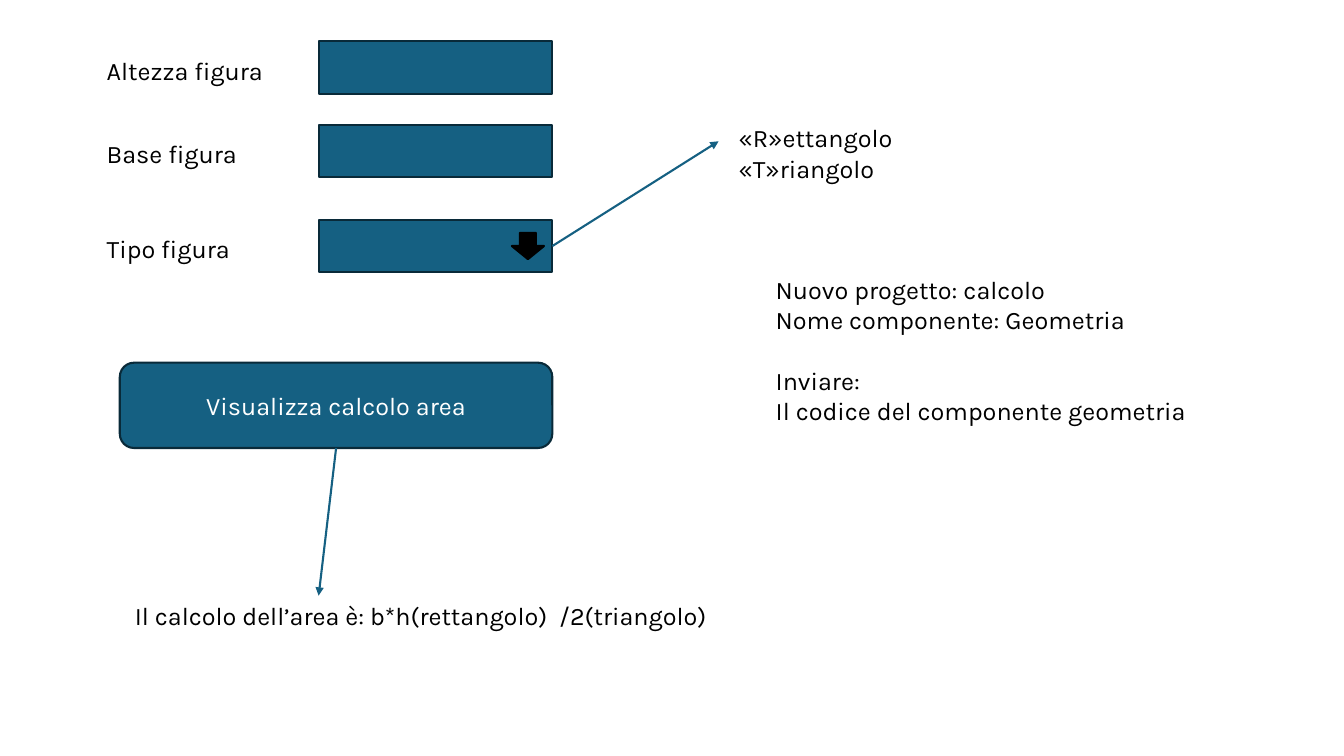
from lxml.etree import SubElement
from pptx import Presentation
from pptx.dml.color import RGBColor
from pptx.enum.shapes import MSO_CONNECTOR, MSO_SHAPE
from pptx.enum.text import MSO_ANCHOR, PP_ALIGN
from pptx.oxml.ns import qn
from pptx.util import Cm, Pt

FONT = "Karla"
COLORS = {"blue": "156082", "edge": "092A39", "black": "000000", "white": "FFFFFF"}
FIELDS = [("Altezza figura", 1.04), ("Base figura", 3.15), ("Tipo figura", 5.54)]


def tint(name):
    return RGBColor.from_string(COLORS[name])


def write(frame, text, size=18, color="black", align=PP_ALIGN.LEFT,
          anchor=MSO_ANCHOR.TOP, gap=0):
    frame.word_wrap = True
    frame.vertical_anchor = anchor
    for i, block in enumerate(text.split("\n\n")):
        for j, line in enumerate(block.split("\n")):
            first = i == 0 and j == 0
            para = frame.paragraphs[0] if first else frame.add_paragraph()
            para.text = line
            para.alignment = align
            if i and j == 0:
                para.space_before = Pt(gap)
            para.font.name = FONT
            para.font.size = Pt(size)
            para.font.color.rgb = tint(color)


def add_text(slide, text, left, top, width, height, **style):
    box = slide.shapes.add_textbox(Cm(left), Cm(top), Cm(width), Cm(height))
    write(box.text_frame, text, **style)


def add_form(slide, kind, left, top, width, height, fill="blue", edge="edge"):
    form = slide.shapes.add_shape(kind, Cm(left), Cm(top), Cm(width), Cm(height))
    form.shadow.inherit = False
    form.fill.solid()
    form.fill.fore_color.rgb = tint(fill)
    form.line.color.rgb = tint(edge)
    form.line.width = Pt(1.5)
    return form


def add_arrow(slide, form, site, left, top):
    end = Cm(left), Cm(top)
    arrow = slide.shapes.add_connector(MSO_CONNECTOR.STRAIGHT, *end, *end)
    arrow.begin_connect(form, site)
    arrow.line.color.rgb = tint("blue")
    arrow.line.width = Pt(1.5)
    props = arrow._element.spPr
    SubElement(props.find(qn("a:ln")), qn("a:tailEnd"), type="triangle")
    SubElement(props, qn("a:effectLst"))


def main():
    deck = Presentation()
    deck.slide_width, deck.slide_height = Cm(33.87), Cm(19.05)
    slide = deck.slides.add_slide(deck.slide_layouts[6])

    for label, top in FIELDS:
        add_text(slide, label, 2.44, top + 0.22, 4.52, 1.02)
        field = add_form(slide, MSO_SHAPE.RECTANGLE, 8.03, top, 5.89, 1.32)
    add_form(slide, MSO_SHAPE.DOWN_ARROW, 12.9, 5.87, 0.81, 0.66,
             fill="black", edge="black")
    add_arrow(slide, field, 3, 18.11, 3.56)
    add_text(slide, "«R»ettangolo\n«T»riangolo", 18.36, 2.97, 5.89, 1.8)

    button = add_form(slide, MSO_SHAPE.ROUNDED_RECTANGLE, 3.02, 9.14, 10.9, 2.15)
    write(button.text_frame, "Visualizza calcolo area", color="white",
          align=PP_ALIGN.CENTER, anchor=MSO_ANCHOR.MIDDLE)
    add_arrow(slide, button, 2, 8.03, 15.01)
    add_text(slide, "Il calcolo dell’area è: b*h(rettangolo)  /2(triangolo)",
             3.15, 15.01, 21.26, 1.02)

    add_text(slide, "Nuovo progetto: calcolo\nNome componente: Geometria\n\n"
             "Inviare:\nIl codice del componente geometria",
             19.3, 6.78, 11.53, 4.11, gap=21.8)
    deck.save("out.pptx")


if __name__ == "__main__":
    main()
